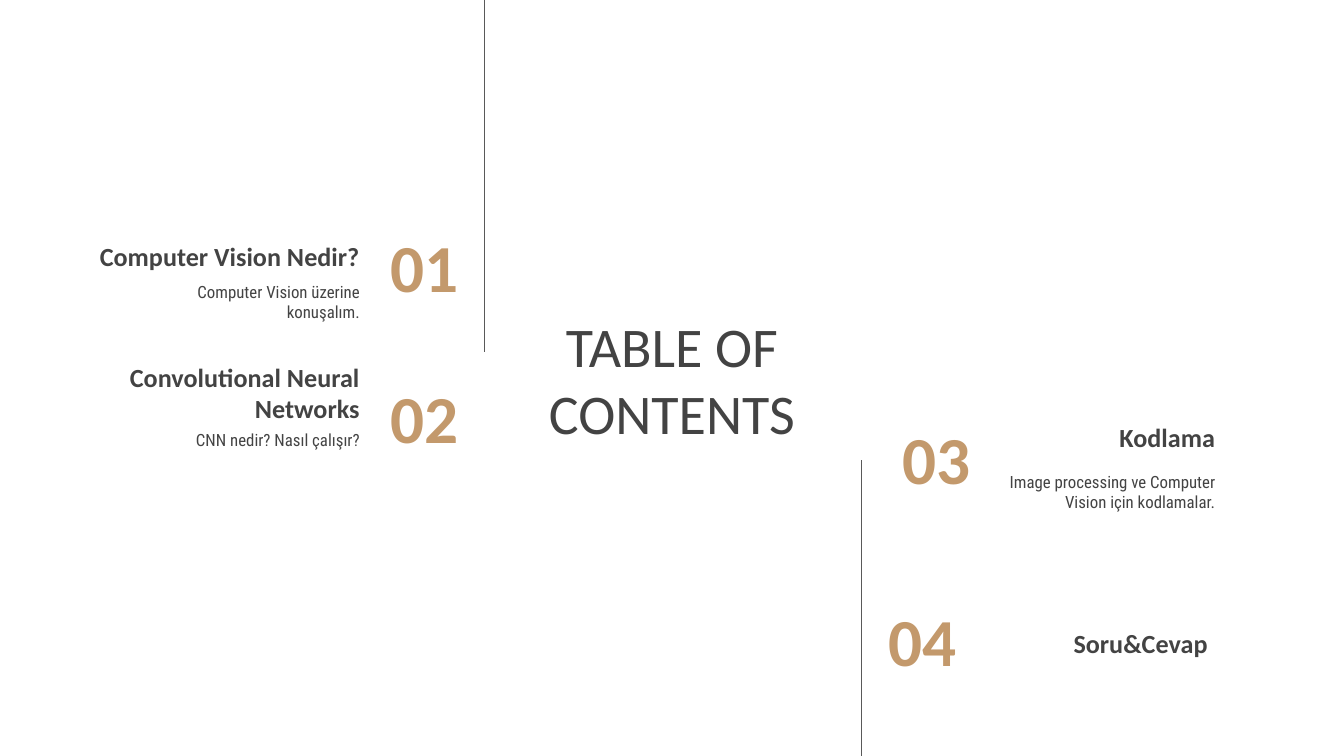
from lxml import etree
from pptx import Presentation
from pptx import util as u
from pptx.dml.color import RGBColor
from pptx.enum import shapes, text
from pptx.oxml.ns import qn

PX = u.Inches(1) // 200  # 200 px to the inch
COLORS = {"ink": "434343", "accent": "C3996C", "rule": "595959"}
HEADING_FONT, BODY_FONT = "Calibri", "Roboto Condensed"
ROW_HEIGHT = 126
MARGIN = 20
LEFT, CENTER, RIGHT = text.PP_ALIGN.LEFT, text.PP_ALIGN.CENTER, text.PP_ALIGN.RIGHT
TOP, MIDDLE, BOTTOM = text.MSO_ANCHOR.TOP, text.MSO_ANCHOR.MIDDLE, text.MSO_ANCHOR.BOTTOM

# Each part: words, left, top, width
SECTIONS = [
    {"number": ("01", 460, 332, 242, RIGHT),
     "heading": ("Computer Vision Nedir?", 123, 299, 432),
     "summary": ("Computer Vision üzerine konuşalım.", 169, 399, 386)},
    {"number": ("02", 460, 557, 242, RIGHT),
     "heading": ("Convolutional Neural Networks", 123, 525, 432),
     "summary": ("CNN nedir? Nasıl çalışır?", 169, 625, 386)},
    {"number": ("03", 1222, 618, 242, RIGHT),
     "heading": ("Kodlama", 1396, 568, 432),
     "summary": ("Image processing ve Computer Vision için kodlamalar.", 1462, 682, 366)},
    {"number": ("04", 1302, 889, 234, LEFT),
     "heading": ("Soru&Cevap", 1385, 874, 432)},
]
RULES = [(721, 0, 524), (1282, 685, 1128)]  # x, top, bottom


def add_text(slide, words, left, top, width, height=ROW_HEIGHT, *, size,
             font=HEADING_FONT, color="ink", bold=False, align=RIGHT, anchor=MIDDLE):
    box = slide.shapes.add_textbox(left * PX, top * PX, width * PX, height * PX)
    frame = box.text_frame
    frame.word_wrap = True
    frame.vertical_anchor = anchor
    frame.margin_left = frame.margin_right = MARGIN * PX
    frame.margin_top = frame.margin_bottom = MARGIN * PX
    paragraph = frame.paragraphs[0]
    paragraph.alignment = align
    run = paragraph.add_run()
    run.text = words
    run.font.name = font
    run.font.size = u.Pt(size)
    run.font.bold = bold
    run.font.color.rgb = RGBColor.from_string(COLORS[color])


def add_vertical_rule(slide, x, top, bottom):
    rule = slide.shapes.add_connector(
        shapes.MSO_CONNECTOR.STRAIGHT, x * PX, top * PX, x * PX, bottom * PX)
    rule.line.color.rgb = RGBColor.from_string(COLORS["rule"])
    rule.line.width = u.Pt(0.75)
    etree.SubElement(rule._element.spPr, qn("a:effectLst"))


def add_section(slide, section):
    *number, align = section["number"]
    add_text(slide, *number, size=36, color="accent", bold=True, align=align)
    add_text(slide, *section["heading"], size=14, bold=True, anchor=BOTTOM)
    if "summary" in section:
        add_text(slide, *section["summary"], size=9, font=BODY_FONT, anchor=TOP)


def main():
    deck = Presentation()
    deck.slide_width, deck.slide_height = 2000 * PX, 1125 * PX
    slide = deck.slides.add_slide(deck.slide_layouts[6])
    add_text(slide, "TABLE OF CONTENTS", 741, 460, 518, 206, size=30, align=CENTER)
    for rule in RULES:
        add_vertical_rule(slide, *rule)
    for section in SECTIONS:
        add_section(slide, section)
    deck.save("out.pptx")


if __name__ == "__main__":
    main()
